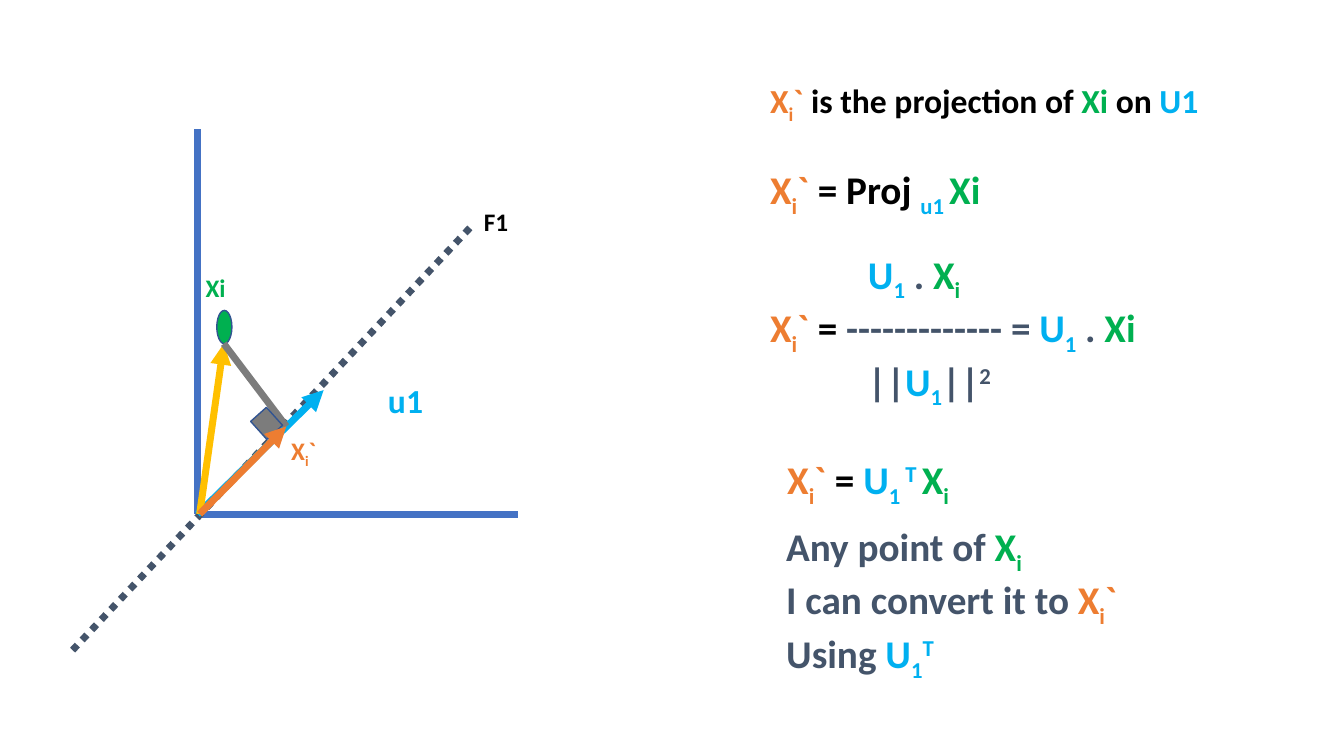
import lxml.etree
import pptx
import pptx.dml.color
import pptx.enum.dml
import pptx.enum.shapes
import pptx.oxml.ns
import pptx.util

Inches = pptx.util.Inches
COLORS = {
    "axis": "4472C4", "outline": "325491", "slate": "44546A", "grey": "7C7C7C",
    "black": "000000", "point": "00B050", "unit": "00B0F0",
    "projection": "ED7D31", "vector": "FFC000",
}
SUB, SUPER = -25, 30
X_SUB = [("X", "point"), ("i", "point", SUB)]
X_PRIME = [("X", "projection"), ("i", "projection", SUB), ("`", "projection")]
U_ONE = [("U", "unit"), ("1", "unit", SUB)]
DOT = [(" . ", "slate")]
EQUALS = [(" = ", "black")]


def rgb(name):
    """Return the named colour."""
    return pptx.dml.color.RGBColor.from_string(COLORS[name])


def add_line(page, start, end, color, arrow=False, dotted=False):
    """Draw a thick straight line between two points in inches."""
    line = page.shapes.add_connector(
        pptx.enum.shapes.MSO_CONNECTOR.STRAIGHT, *map(Inches, start + end))
    line.line.color.rgb = rgb(color)
    line.line.width = pptx.util.Pt(5)
    if dotted:
        line.line.dash_style = pptx.enum.dml.MSO_LINE.ROUND_DOT
    if arrow:
        outline = line.line._get_or_add_ln()
        lxml.etree.SubElement(outline, pptx.oxml.ns.qn("a:tailEnd"), type="triangle")
    lxml.etree.SubElement(line._element.spPr, pptx.oxml.ns.qn("a:effectLst"))


def add_solid(page, kind, corner, size, color, rotation=0):
    """Add a filled preset shape with a thin outline."""
    solid = page.shapes.add_shape(kind, *map(Inches, corner + size))
    solid.shadow.inherit = False
    solid.fill.solid()
    solid.fill.fore_color.rgb = rgb(color)
    solid.line.color.rgb = rgb("outline")
    solid.line.width = pptx.util.Pt(1)
    solid.rotation = rotation


def add_text(page, corner, size, points, rows, indents=(), wrap=True):
    """Add bold rows of coloured spans, each with an optional baseline shift."""
    box = page.shapes.add_textbox(*map(Inches, corner + size))
    frame = box.text_frame
    frame.word_wrap = wrap
    for number, row in enumerate(rows):
        para = frame.paragraphs[0] if number == 0 else frame.add_paragraph()
        para.font.name = "Calibri"
        para.font.size = pptx.util.Pt(points)
        para.font.bold = True
        if number in indents:
            para._p.get_or_add_pPr().set("marL", str(Inches(0.97)))
        for text, color, *shift in row:
            span = para.add_run()
            span.text = text
            span.font.color.rgb = rgb(color)
            if shift:
                span._r.get_or_add_rPr().set("baseline", str(shift[0] * 1000))


def add_diagram(page, left, top, width, height):
    """Draw the axes, the vectors and the projection inside the box."""
    def at(x, y):
        """Move a point into the box."""
        return left + x, top + y

    kinds = pptx.enum.shapes.MSO_SHAPE
    origin, base = at(1.24, 3.82), at(1.26, 3.82)
    point, foot = at(1.5, 2.13), at(2.12, 2.95)
    add_line(page, origin, at(1.24, 0), "axis")
    add_solid(page, kinds.OVAL, at(1.43, 1.8), (0.15, 0.33), "point")
    add_line(page, origin, at(width, 3.82), "axis")
    add_line(page, at(0, height), at(3.96, 0.96), "slate", dotted=True)
    add_line(page, origin, at(2.49, 2.59), "unit", arrow=True)
    add_line(page, base, point, "vector", arrow=True)
    add_line(page, point, foot, "grey")
    add_solid(page, kinds.RECTANGLE, at(1.82, 2.8), (0.21, 0.24), "grey", 318.1)
    add_line(page, base, foot, "projection", arrow=True)
    add_text(page, at(3.03, 2.44), (0.6, 0.5), 24, [[("u1", "unit")]])
    add_text(page, at(3.98, 0.72), (0.45, 0.4), 18, [[("F1", "black")]], wrap=False)
    add_text(page, at(1.22, 1.37), (0.61, 0.4), 18, [[("Xi", "point")]])
    add_text(page, at(2.07, 2.99), (0.61, 0.4), 18, [X_PRIME])


def add_formulas(page, left, top, width):
    """Write the projection formulas down the box."""
    statement = X_PRIME + [(" is the projection of ", "black"), ("Xi", "point"),
                           (" on ", "black"), ("U1", "unit")]
    definition = X_PRIME + [(" = Proj ", "black"), ("u1 ", "unit", SUB), ("Xi", "point")]
    fraction = [
        U_ONE + DOT + X_SUB,
        X_PRIME + EQUALS + [("------------- = ", "slate")] + U_ONE + DOT + [("Xi", "point")],
        [("||", "slate")] + U_ONE + [("||", "slate"), ("2", "slate", SUPER)],
    ]
    transposed = X_PRIME + EQUALS + U_ONE + [(" T ", "unit", SUPER)] + X_SUB
    conclusion = [
        [("Any point of ", "slate")] + X_SUB,
        [("I can convert it to ", "slate")] + X_PRIME,
        [("Using ", "slate")] + U_ONE + [("T", "unit", SUPER)],
    ]
    add_text(page, (left, top), (width, 0.5), 24, [statement])
    add_text(page, (left, top + 0.85), (3.48, 0.57), 28, [definition])
    add_text(page, (left, top + 1.69), (4.15, 1.51), 28, fraction, indents=(0, 2))
    add_text(page, (left + 0.17, top + 3.73), (3.96, 0.57), 28, [transposed])
    add_text(page, (left + 0.16, top + 4.39), (3.96, 1.51), 28, conclusion)


def main():
    """Build and save the deck."""
    deck = pptx.Presentation()
    deck.slide_width, deck.slide_height = Inches(13.33), Inches(7.5)
    page = deck.slides.add_slide(deck.slide_layouts[6])
    add_diagram(page, 0.72, 1.28, 4.42, 5.17)
    add_formulas(page, 7.54, 0.74, 4.63)
    deck.save("out.pptx")


main()
